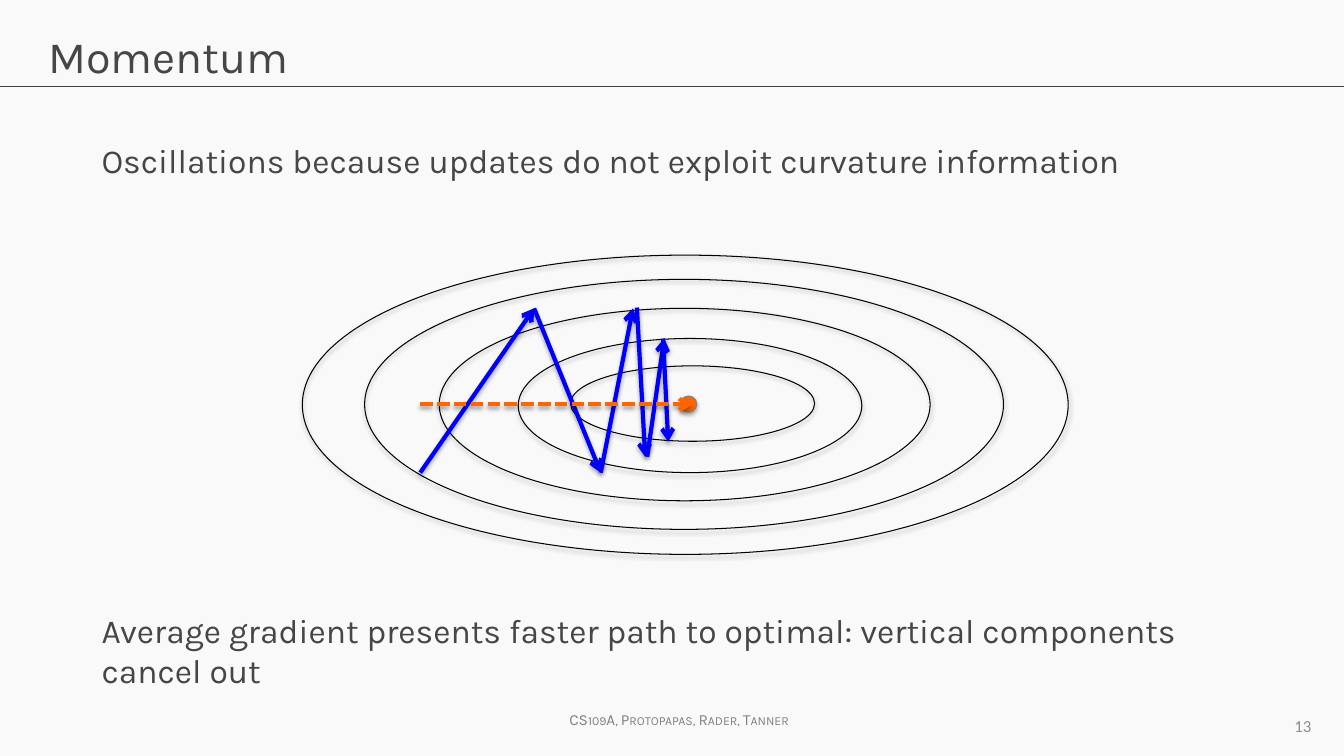
from typing import NamedTuple, Optional

from pptx import Presentation
from pptx.dml.color import RGBColor
from pptx.enum.dml import MSO_LINE_DASH_STYLE as Dash
from pptx.enum.shapes import MSO_CONNECTOR as Connector, MSO_SHAPE as Preset
from pptx.enum.text import MSO_ANCHOR as Anchor, PP_ALIGN as Align
from pptx.oxml import parse_xml
from pptx.oxml.ns import nsdecls
from pptx.util import Cm, Pt

COLORS = {
    "background": "F9F9F9",
    "text": "464646",
    "rule": "404040",
    "footer": "808080",
    "number": "8C8C8C",
    "contour": "000000",
    "step": "0000FF",
    "average": "FF6600",
    "optimum edge": "7F7F7F",
}
SLIDE_WIDTH, SLIDE_HEIGHT = 33.87, 19.05


class Label(NamedTuple):
    text: str
    left: float
    top: float
    width: float
    height: float
    size: int
    color: str = "text"
    font: str = "Karla"
    align: Align = Align.LEFT
    anchor: Anchor = Anchor.TOP
    wrap: bool = True
    small_caps: bool = False


class Oval(NamedTuple):
    left: float
    top: float
    width: float
    height: float
    edge: str = "contour"
    fill: Optional[str] = None


class Segment(NamedTuple):
    start: tuple[float, float]
    end: tuple[float, float]
    color: str = "step"
    weight: float = 3
    dash: Optional[Dash] = None
    arrow: bool = True


LABELS = [
    Label("Momentum", 0.97, 0.61, 31.93, 2.13, 32),
    Label("Oscillations because updates do not exploit curvature information",
          2.31, 3.4, 28.8, 1.3, 24),
    Label("Average gradient presents faster path to optimal: "
          "vertical components cancel out", 2.31, 15.24, 28.8, 2.3, 24),
    Label("CS109A, Protopapas, Rader, Tanner", 13.94, 17.78, 6.35, 0.74, 11,
          "footer", align=Align.CENTER, wrap=False, small_caps=True),
    Label("13", 25.4, 17.78, 7.9, 1.02, 12, "number", "Calibri",
          Align.RIGHT, Anchor.MIDDLE),
]
OVALS = [
    Oval(14.38, 9.22, 6.15, 1.9),
    Oval(13.06, 8.53, 8.66, 3.38),
    Oval(11.07, 7.77, 12.37, 4.85),
    Oval(9.19, 7.04, 16.1, 6.3),
    Oval(7.62, 6.43, 19.3, 7.54),
    Oval(17.15, 9.98, 0.41, 0.41, "optimum edge", "average"),
]
RULE = Segment((0, 2.18), (SLIDE_WIDTH, 2.18), "rule", 0.75, arrow=False)
SEGMENTS = [
    Segment((10.59, 11.91), (13.46, 7.77)),
    Segment((13.46, 7.77), (15.14, 11.91)),
    Segment((15.14, 11.91), (15.95, 7.77)),
    Segment((16.05, 7.75), (16.26, 11.51)),
    Segment((16.31, 11.51), (16.74, 8.53)),
    Segment((16.71, 8.53), (16.84, 11.13)),
    Segment((10.59, 10.19), (17.45, 10.19), "average", dash=Dash.SQUARE_DOT),
]


def rgb(name: str) -> RGBColor:
    return RGBColor.from_string(COLORS[name])


def set_shadow(shape, visible: bool) -> None:
    shadow = (
        '<a:outerShdw blurRad="40000" dist="23000" dir="5400000" rotWithShape="0">'
        '<a:srgbClr val="000000"><a:alpha val="35000"/></a:srgbClr></a:outerShdw>'
    ) if visible else ""
    shape._element.spPr.append(
        parse_xml(f'<a:effectLst {nsdecls("a")}>{shadow}</a:effectLst>'))


def draw_label(page, label: Label) -> None:
    box = page.shapes.add_textbox(
        Cm(label.left), Cm(label.top), Cm(label.width), Cm(label.height))
    frame = box.text_frame
    frame.text = label.text
    frame.word_wrap = label.wrap
    frame.vertical_anchor = label.anchor
    para = frame.paragraphs[0]
    para.alignment = label.align
    span = para.runs[0]
    span.font.name = label.font
    span.font.size = Pt(label.size)
    span.font.color.rgb = rgb(label.color)
    if label.small_caps:
        span.font._element.set("cap", "small")


def draw_oval(page, oval: Oval) -> None:
    shape = page.shapes.add_shape(
        Preset.OVAL, Cm(oval.left), Cm(oval.top), Cm(oval.width), Cm(oval.height))
    if oval.fill:
        shape.fill.solid()
        shape.fill.fore_color.rgb = rgb(oval.fill)
    else:
        shape.fill.background()
    shape.line.color.rgb = rgb(oval.edge)
    shape.line.width = Pt(0.75)
    set_shadow(shape, True)


def draw_segment(page, segment: Segment) -> None:
    connector = page.shapes.add_connector(
        Connector.STRAIGHT, *map(Cm, segment.start + segment.end))
    line = connector.line
    line.color.rgb = rgb(segment.color)
    line.width = Pt(segment.weight)
    if segment.dash:
        line.dash_style = segment.dash
    if segment.arrow:
        line._get_or_add_ln().append(
            parse_xml(f'<a:tailEnd {nsdecls("a")} type="arrow"/>'))
    set_shadow(connector, segment.arrow)


def main() -> None:
    deck = Presentation()
    deck.slide_width, deck.slide_height = Cm(SLIDE_WIDTH), Cm(SLIDE_HEIGHT)
    page = deck.slides.add_slide(deck.slide_layouts[6])
    page.background.fill.solid()
    page.background.fill.fore_color.rgb = rgb("background")
    draw_segment(page, RULE)
    for label in LABELS:
        draw_label(page, label)
    for oval in OVALS:
        draw_oval(page, oval)
    for segment in SEGMENTS:
        draw_segment(page, segment)
    deck.save("out.pptx")


if __name__ == "__main__":
    main()
